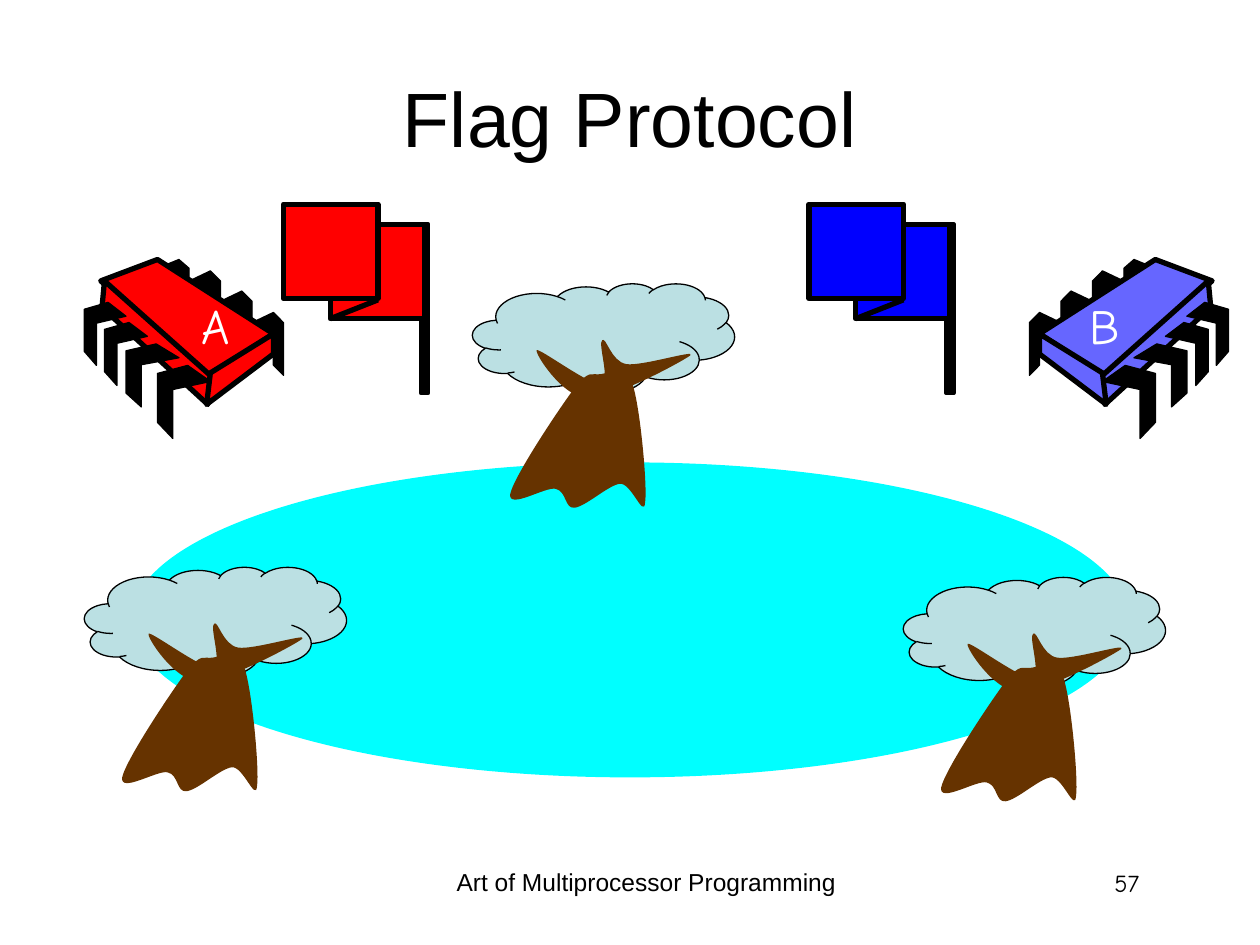
from lxml import etree
from pptx import Presentation
from pptx.dml.color import RGBColor
from pptx.enum.shapes import MSO_CONNECTOR, MSO_SHAPE
from pptx.enum.text import MSO_ANCHOR, MSO_AUTO_SIZE, PP_ALIGN
from pptx.oxml.ns import qn
from pptx.util import Cm, Pt

RECT, OVAL, CLOUD = MSO_SHAPE.RECTANGLE, MSO_SHAPE.OVAL, MSO_SHAPE.CLOUD_CALLOUT
STRAIGHT = MSO_CONNECTOR.STRAIGHT
TOP, MIDDLE = MSO_ANCHOR.TOP, MSO_ANCHOR.MIDDLE
CENTER, RIGHT = PP_ALIGN.CENTER, PP_ALIGN.RIGHT
NO_FIT, GROW = MSO_AUTO_SIZE.NONE, MSO_AUTO_SIZE.SHAPE_TO_FIT_TEXT

COLORS = {
    "black": "000000", "white": "FFFFFF", "red": "FF0000", "blue": "0000FF",
    "violet": "6666FF", "water": "00FFFF", "leaves": "BBE0E3", "bark": "663300",
}
SANS, COMIC = "Arial", "Comic Neue"
CM_PER_INCH = 2.54
MIRROR = 10.42

BACK_PIN = [(0, .14), (.68, 0), (1, .14), (1, .86), (.68, .72), (.68, .29), (0, .43)]
BACK_PINS = [(2, 2.48, .25, .58), (1.75, 2.31, .25, .58),
             (1.5, 2.15, .25, .58), (1.25, 2.06, .25, .5)]
FRONT_PIN = [(.57, 0), (1, .22), (.29, .33), (.29, 1), (0, .78), (0, .11)]
FRONT_PINS = [(1.25, 2.9, .42, .58), (1, 2.73, .42, .5),
              (.83, 2.56, .34, .5), (.67, 2.4, .33, .5)]
CHIP_FACES = [
    [(1.25, 2.06), (2.17, 2.65), (1.65, 2.99), (.8, 2.23)],
    [(.83, 2.23), (1.67, 2.98), (1.65, 3.21), (.81, 2.44)],
    [(2.17, 2.65), (2.17, 2.81), (1.64, 3.21), (1.67, 2.96)],
]
TRUNK = [
    (.81, .83), (.93, .68), (.94, .73), (1.02, .72), (1.09, .71), (1.21, .63),
    (1.27, .8), (1.33, .97), (1.39, 1.61), (1.37, 1.74), (1.36, 1.87),
    (1.26, 1.58), (1.17, 1.59), (1.08, 1.6), (.9, 1.77), (.81, 1.78),
    (.73, 1.79), (.75, 1.65), (.66, 1.63), (.58, 1.61), (.28, 1.8), (.3, 1.67),
    (.33, 1.53), (.69, .99), (.81, .83),
]
BRANCHES = [
    (.51, .53), (.49, .55), (.71, .9), (.91, .91), (1.12, .92), (1.68, .61),
    (1.73, .57), (1.78, .52), (1.34, .66), (1.22, .64), (1.1, .62), (1.06, .42),
    (1.03, .45), (.99, .47), (1.1, .78), (1.02, .8), (.93, .81), (.53, .51),
    (.51, .53),
]


def cm(inches):
    """Convert a length on the inch grid to a Cm length."""
    return Cm(inches * CM_PER_INCH)


class Scene:
    """Hold the drawing style and the current slide."""

    def __init__(self, slide):
        self.slide = slide
        self.shapes = slide.shapes

    def color(self, name):
        return RGBColor.from_string(COLORS[name])

    def paint(self, shape, fill, width):
        shape.shadow.inherit = False
        shape.fill.solid()
        shape.fill.fore_color.rgb = self.color(fill)
        if width:
            shape.line.color.rgb = self.color("black")
            shape.line.width = Pt(width)
        else:
            shape.line.fill.background()
        return shape

    def preset(self, kind, box, fill, width=0):
        return self.paint(self.shapes.add_shape(kind, *map(cm, box)), fill, width)

    def outline(self, points, fill, width=0):
        start, *rest = [(cm(x), cm(y)) for x, y in points]
        builder = self.shapes.build_freeform(*start)
        builder.add_line_segments(rest, close=True)
        return self.paint(builder.convert_to_shape(), fill, width)

    def curve(self, points, fill):
        shape = self.outline(points, fill)
        segments = list(shape._element.iter(qn("a:lnTo")))
        for first in range(0, len(segments), 3):
            bezier = etree.Element(qn("a:cubicBezTo"))
            segments[first].addprevious(bezier)
            for segment in segments[first:first + 3]:
                bezier.append(segment[0])
                segment.getparent().remove(segment)

    def line(self, start, end, width):
        connector = self.shapes.add_connector(STRAIGHT, *map(cm, start + end))
        connector.line.color.rgb = self.color("black")
        connector.line.width = Pt(width)
        etree.SubElement(connector._element.spPr, qn("a:effectLst"))

    def text(self, words, box, size, font, align, color="black", anchor=TOP, wrap=True):
        frame = self.shapes.add_textbox(*map(cm, box)).text_frame
        frame_format = {"word_wrap": wrap, "vertical_anchor": anchor,
                        "auto_size": NO_FIT if wrap else GROW}
        for name, value in frame_format.items():
            setattr(frame, name, value)
        paragraph = frame.paragraphs[0]
        paragraph.alignment = align
        run = paragraph.add_run()
        run.text = words
        for name, value in {"name": font, "size": Pt(size)}.items():
            setattr(run.font, name, value)
        run.font.color.rgb = self.color(color)

    def chip(self, fill, mirrored=False):
        def place(points):
            return [(MIRROR - x if mirrored else x, y) for x, y in points]

        def pins(pattern, boxes):
            for left, top, width, height in boxes:
                pin = [(left + x * width, top + y * height) for x, y in pattern]
                self.outline(place(pin), "black", .75)

        pins(BACK_PIN, BACK_PINS)
        for face in CHIP_FACES:
            self.outline(place(face), fill, 3)
        pins(FRONT_PIN, FRONT_PINS)

    def tree(self, left, top):
        crown = self.preset(CLOUD, (left, top, 2.08, .87), "leaves", .75)
        for index, value in enumerate((.018, .493)):
            crown.adjustments[index] = value
        for part in (TRUNK, BRANCHES):
            self.curve([(left + x, top + y) for x, y in part], "bark")

    def flag(self, left, top, fill):
        self.preset(RECT, (left + 1.09, top + .16, .06, 1.34), "black", 2.25)
        self.preset(RECT, (left + .37, top + .16, .75, .75), fill, 3)
        self.line((left + .37, top + .91), (left + .75, top + .76), 3)
        self.preset(RECT, (left, top, .75, .75), fill, 3)


def main():
    deck = Presentation()
    deck.slide_width, deck.slide_height = cm(10), cm(7.5)
    scene = Scene(deck.slides.add_slide(deck.slide_layouts[6]))
    scene.text("57", (7.06, 6.84, 2.08, .5), 14, COMIC, RIGHT)
    scene.text("Flag Protocol", (.5, .3, 9, 1.25), 44, SANS, CENTER, anchor=MIDDLE)
    scene.chip("red")
    scene.chip("violet", mirrored=True)
    scene.preset(OVAL, (1.04, 3.67, 7.92, 2.5), "water")
    for thread, box in {"A": (1.43, 2.3, .49, .57), "B": (8.54, 2.3, .45, .57)}.items():
        scene.text(thread, box, 28, COMIC, RIGHT, "white", wrap=False)
    for corner in ((3.75, 2.25), (7.17, 4.58), (.67, 4.5)):
        scene.tree(*corner)
    for left, fill in ((2.25, "red"), (6.42, "blue")):
        scene.flag(left, 1.62, fill)
    scene.text("Art of Multiprocessor Programming", (3.42, 6.83, 3.42, .52),
               14, SANS, CENTER)
    deck.save("out.pptx")


if __name__ == "__main__":
    main()
